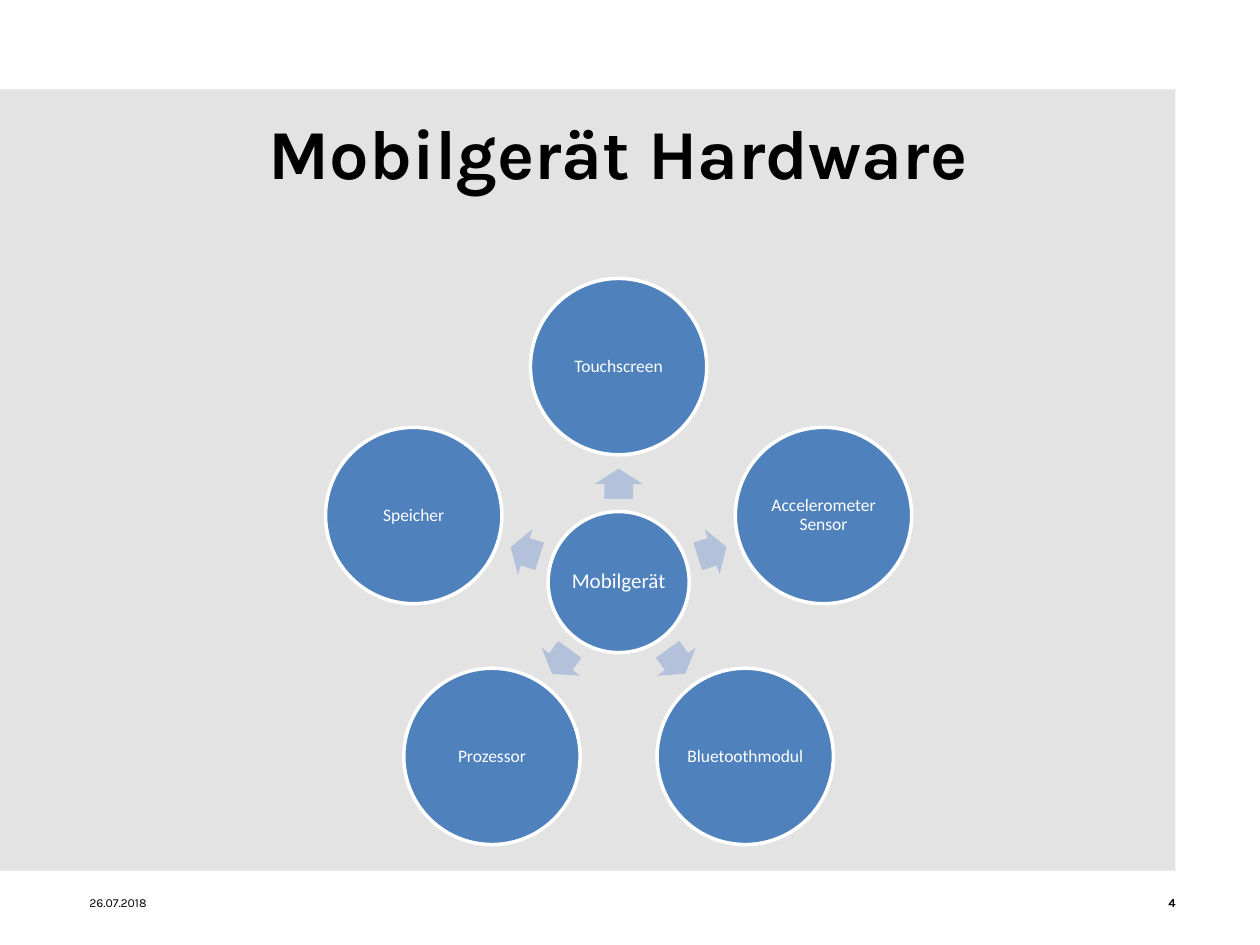
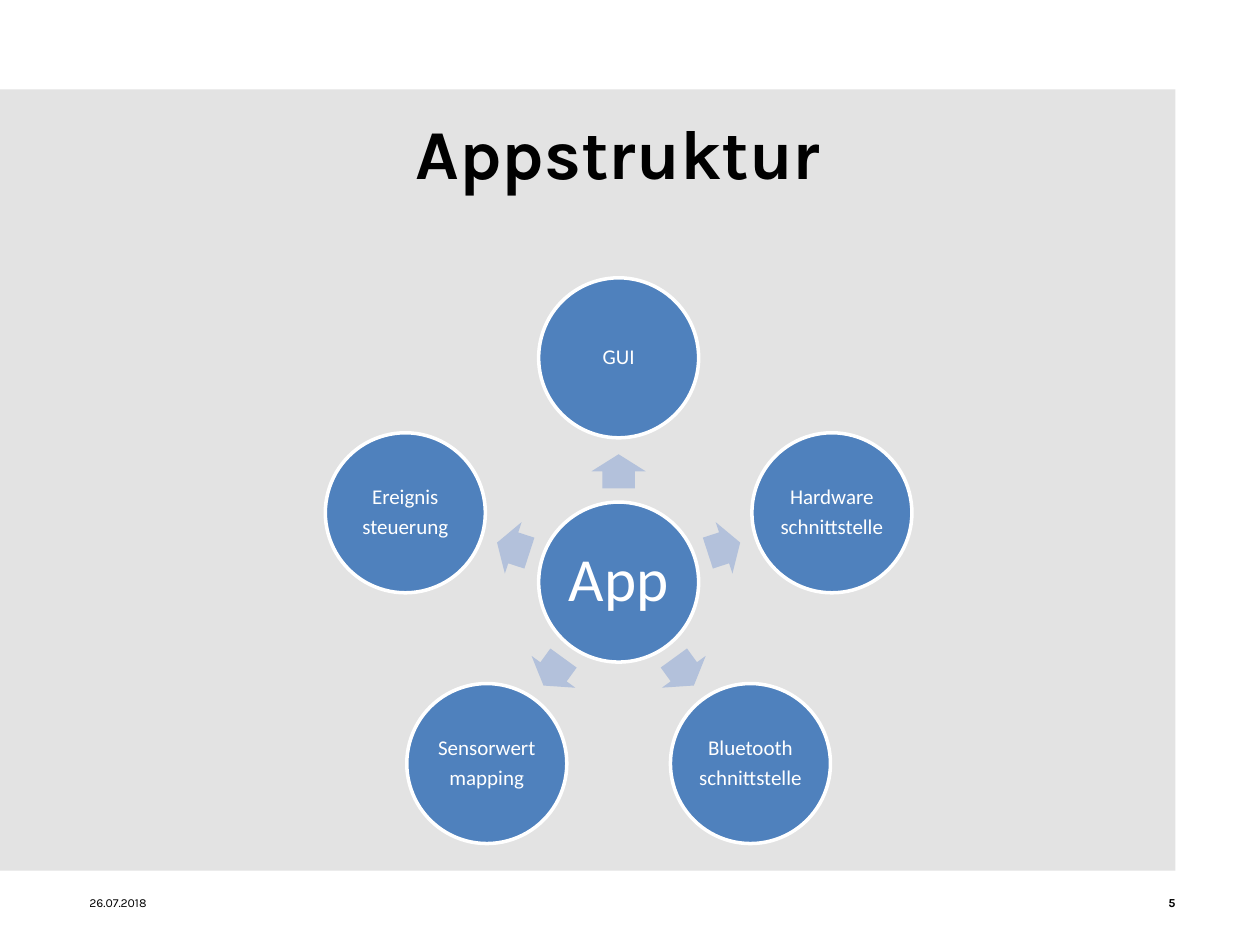
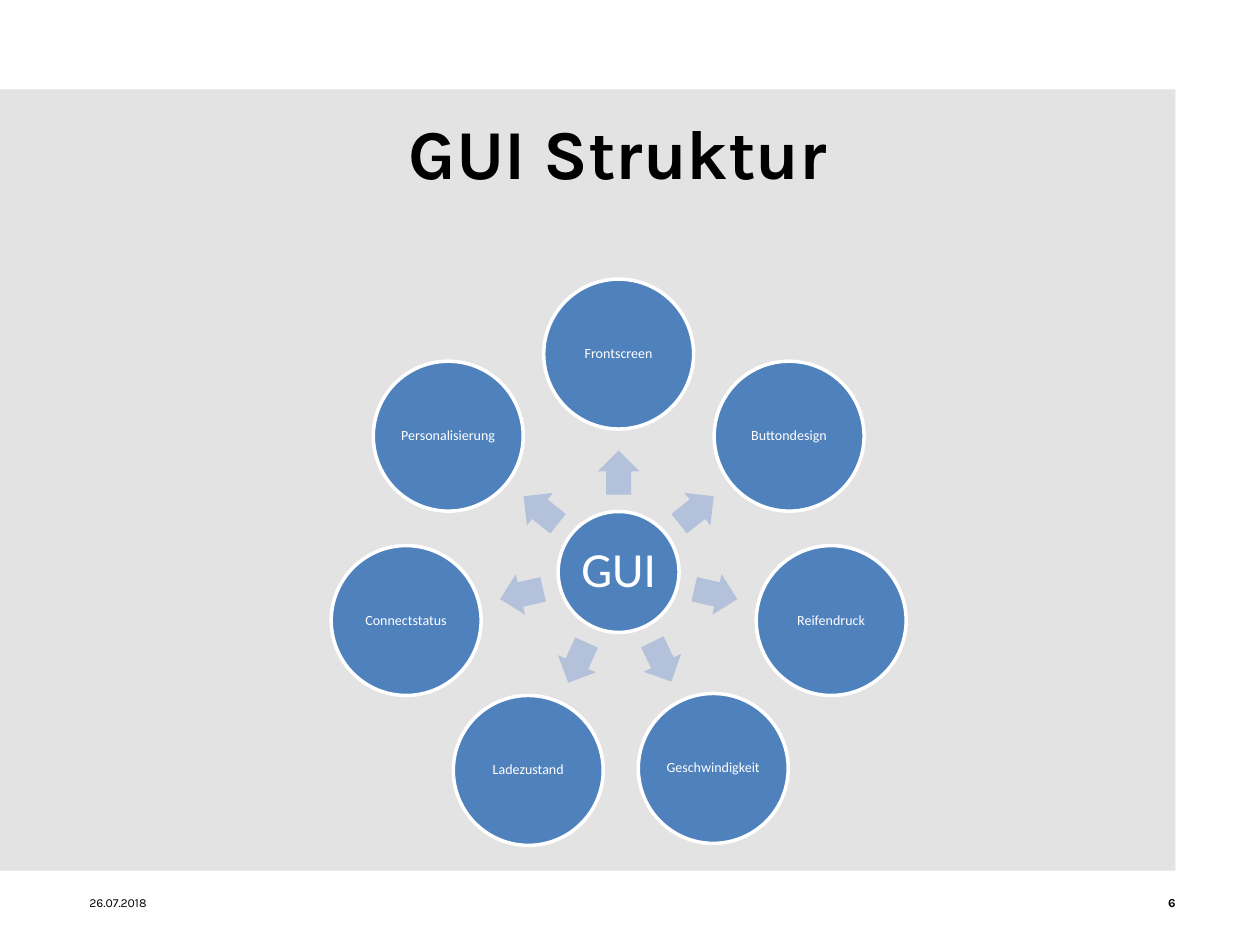
from math import cos, radians, sin

from pptx import Presentation
from pptx.dml.color import RGBColor
from pptx.enum.shapes import MSO_SHAPE
from pptx.enum.text import MSO_ANCHOR, PP_ALIGN
from pptx.util import Inches, Pt

BLACK = RGBColor(0x00, 0x00, 0x00)
WHITE = RGBColor(0xFF, 0xFF, 0xFF)
BAND_GREY = RGBColor(0xE3, 0xE3, 0xE3)
CIRCLE_BLUE = RGBColor(0x4F, 0x81, 0xBD)
ARROW_BLUE = RGBColor(0xB3, 0xC1, 0xDB)

RECTANGLE = MSO_SHAPE.RECTANGLE
ELLIPSE = MSO_SHAPE.OVAL
RIGHT_ARROW = MSO_SHAPE.RIGHT_ARROW
LEFT, CENTER, RIGHT = PP_ALIGN.LEFT, PP_ALIGN.CENTER, PP_ALIGN.RIGHT
TOP, MIDDLE = MSO_ANCHOR.TOP, MSO_ANCHOR.MIDDLE

TITLE = {"name": "Karla", "size": Pt(40), "bold": True}
DATE = {"name": "Karla", "size": Pt(7), "bold": False}
NUMBER = {"name": "Karla", "size": Pt(7), "bold": True}

HUB_X = 4.91

DIAGRAMS = [
    {
        "title": "Mobilgerät Hardware",
        "hub": {"label": "Mobilgerät", "y": 4.62, "diameter": 1.12, "size": 12, "inset": 0.02},
        "satellite": {"diameter": 1.4, "size": 10, "inset": 0.01},
        "orbit": 1.71,
        "arrow": {"width": 0.24, "height": 0.38, "orbit": 0.78},
        "labels": ["Touchscreen", "Accelerometer Sensor", "Bluetoothmodul", "Prozessor", "Speicher"],
        "bearings": {},
    },
    {
        "title": "Appstruktur",
        "hub": {"label": "App", "y": 4.62, "diameter": 1.27, "size": 35, "inset": 0.05},
        "satellite": {"diameter": 1.27, "size": 12, "inset": 0.02},
        "orbit": 1.78,
        "arrow": {"width": 0.27, "height": 0.43, "orbit": 0.88},
        "labels": [
            "GUI",
            "Hardware\nschnittstelle",
            "Bluetooth\nschnittstelle",
            "Sensorwert\nmapping",
            "Ereignis\nsteuerung",
        ],
        "bearings": {},
    },
    {
        "title": "GUI Struktur",
        "hub": {"label": "GUI", "y": 4.54, "diameter": 0.96, "size": 28, "inset": 0.04},
        "satellite": {"diameter": 1.19, "size": 8, "inset": 0.01},
        "orbit": 1.73,
        "arrow": {"width": 0.35, "height": 0.33, "orbit": 0.79},
        "labels": [
            "Frontscreen",
            "Buttondesign",
            "Reifendruck",
            "Geschwindigkeit",
            "Ladezustand",
            "Connectstatus",
            "Personalisierung",
        ],
        "bearings": {"Ladezustand": 204.5},
    },
]


def add_filled(page, kind, center_x, center_y, width, height, color):
    shape = page.shapes.add_shape(
        kind,
        Inches(center_x - width / 2),
        Inches(center_y - height / 2),
        Inches(width),
        Inches(height),
    )
    shape.shadow.inherit = False
    shape.fill.solid()
    shape.fill.fore_color.rgb = color
    shape.line.fill.background()
    return shape


def write_text(box, text, font, color, align, anchor, inset_x, inset_y):
    frame = box.text_frame
    settings = {
        "word_wrap": True,
        "vertical_anchor": anchor,
        "margin_left": Inches(inset_x),
        "margin_right": Inches(inset_x),
        "margin_top": Inches(inset_y),
        "margin_bottom": Inches(inset_y),
        "text": text,
    }
    for name, value in settings.items():
        setattr(frame, name, value)
    for para in frame.paragraphs:
        para.alignment = align
        for span in para.runs:
            for name, value in font.items():
                setattr(span.font, name, value)
            span.font.color.rgb = color


deck = Presentation()
deck.slide_width = Inches(10)
deck.slide_height = Inches(7.5)

for page_number, diagram in enumerate(DIAGRAMS, start=4):
    page = deck.slides.add_slide(deck.slide_layouts[6])
    add_filled(page, RECTANGLE, 4.665, 3.81, 9.33, 6.2, BAND_GREY)

    for text, font, area, align, anchor, inset_x, inset_y in [
        (diagram["title"], TITLE, (0.71, 0.82, 8.39, 1.25), CENTER, TOP, 0.1, 0.05),
        ("26.07.2018", DATE, (0.71, 7.1, 2.33, 0.12), LEFT, MIDDLE, 0, 0),
        (str(page_number), NUMBER, (7, 7.1, 2.33, 0.12), RIGHT, MIDDLE, 0, 0),
    ]:
        box = page.shapes.add_textbox(*map(Inches, area))
        write_text(box, text, font, BLACK, align, anchor, inset_x, inset_y)

    hub, satellite, arrow = diagram["hub"], diagram["satellite"], diagram["arrow"]
    circles = [(hub["label"], hub, HUB_X, hub["y"])]

    for index, label in enumerate(diagram["labels"]):
        bearing = diagram["bearings"].get(label, index * 360 / len(diagram["labels"]))
        across, up = sin(radians(bearing)), cos(radians(bearing))
        pointer = add_filled(
            page,
            RIGHT_ARROW,
            HUB_X + arrow["orbit"] * across,
            hub["y"] - arrow["orbit"] * up,
            arrow["width"],
            arrow["height"],
            ARROW_BLUE,
        )
        pointer.rotation = (bearing - 90) % 360
        pointer.adjustments[0] = 0.6
        pointer.adjustments[1] = 0.5
        orbit = diagram["orbit"]
        circles.append((label, satellite, HUB_X + orbit * across, hub["y"] - orbit * up))

    for label, style, center_x, center_y in circles:
        diameter = style["diameter"]
        circle = add_filled(page, ELLIPSE, center_x, center_y, diameter, diameter, CIRCLE_BLUE)
        circle.line.color.rgb = WHITE
        circle.line.width = Pt(2)
        font = {"name": "Calibri", "size": Pt(style["size"])}
        write_text(circle, label, font, WHITE, CENTER, MIDDLE, style["inset"], style["inset"])
        for para in circle.text_frame.paragraphs:
            para.line_spacing = 0.9
            para.space_after = Pt(0.35 * style["size"])

deck.save("out.pptx")
